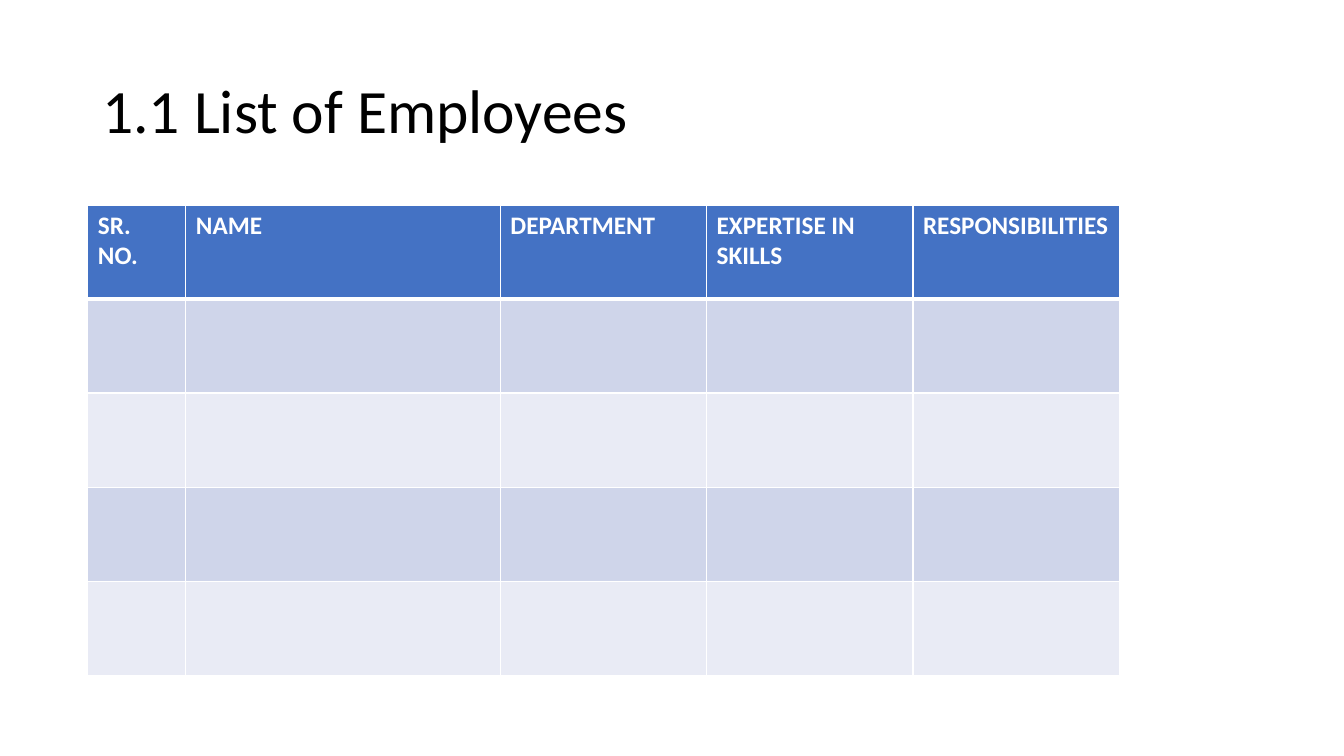
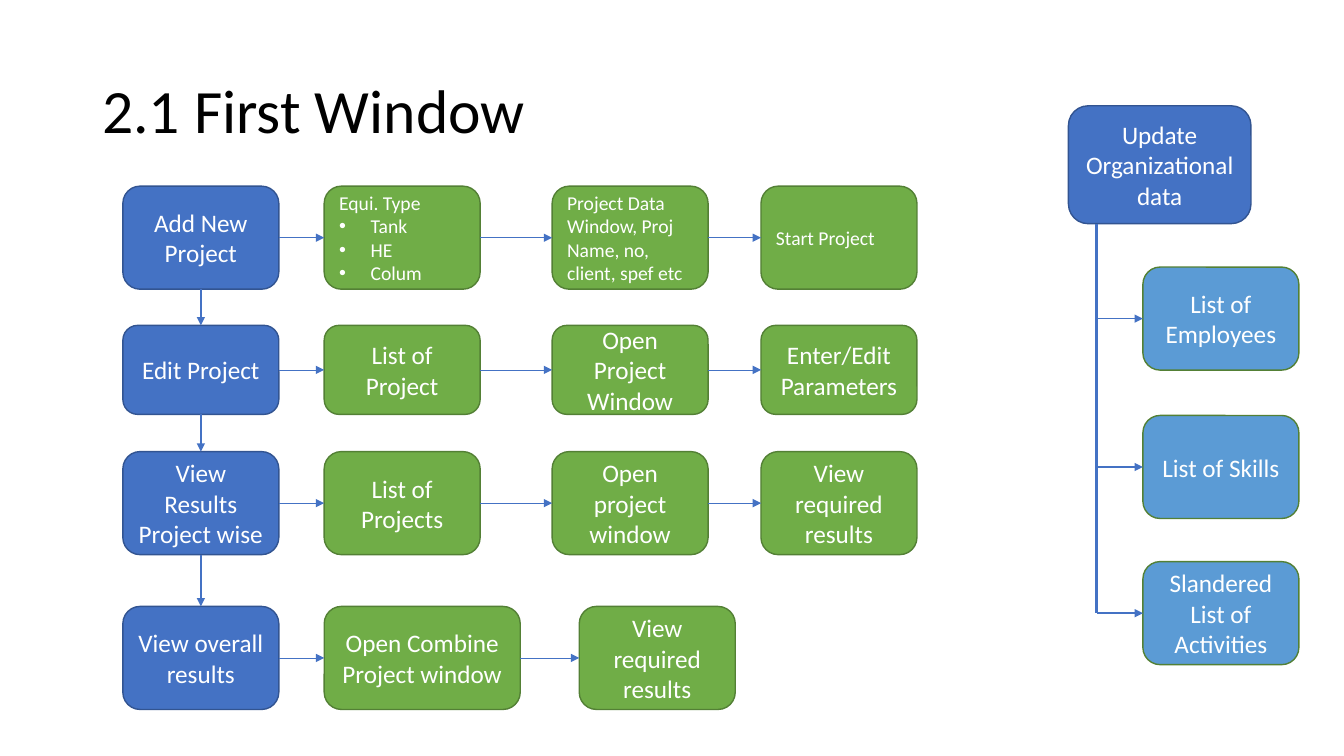
from lxml import etree
from pptx import Presentation
from pptx.dml import color
from pptx.enum import shapes, text
from pptx.oxml import ns
from pptx.util import Pt

# Shared style
FONT = "Calibri"
WHITE, BLACK = "FFFFFF", "000000"
BLUE, BLUE_EDGE = "4472C4", "325491"
GREEN, GREEN_EDGE = "70AD47", "538035"
SKY = "5B9BD5"
BANDS = ("CFD5EA", "E9EBF5")

# Employee table
HEADINGS = ["SR. NO.", "NAME", "DEPARTMENT", "EXPERTISE IN SKILLS", "RESPONSIBILITIES"]
COLUMN_WIDTHS = [70, 224.6, 147.4, 147.4, 147.4]
ROW_HEIGHT, ROW_COUNT = 67.2, 5

# Flow grid
STEP_W, STEP_H = 111.4, 73.6
COLUMNS = [87.8, 231.6, 394.4, 543.6]
WIDE_ROW = [(87.8, STEP_W), (231.6, 140), (413.8, STEP_W)]
REGULAR_ROW = [(left, STEP_W) for left in COLUMNS]
# Each row: top, height, (left, width) of its steps, labels, size of the green labels
FLOW = [
    (133, STEP_H, REGULAR_ROW,
     ["Add New Project", "Equi. Type\nTank\nHE\nColum",
      "Project Data Window, Proj Name, no, client, spef etc", "Start Project"], 14),
    (232.4, 63.6, REGULAR_ROW,
     ["Edit Project", "List of Project", "Open Project Window",
      "Enter/Edit Parameters"], 18),
    (322.6, STEP_H, REGULAR_ROW,
     ["View Results Project wise", "List of Projects", "Open project window",
      "View required results"], 18),
    (433.2, STEP_H, WIDE_ROW,
     ["View overall results", "Open Combine Project window",
      "View required results"], 18),
]

# Organizational data tree
TRUNK_X, LIST_LEFT = 783.4, 816.4
LISTS = [(190.8, "List of Employees"), (296.8, "List of Skills"),
         (401.2, "Slandered List of Activities")]


def rgb(value):
    return color.RGBColor.from_string(value)


def add_xml(parent, tag, **attributes):
    return etree.SubElement(parent, ns.qn(tag), attributes)


def format_text(frame, size, ink, align=None, bold=False):
    for paragraph in frame.paragraphs:
        paragraph.alignment = align
        for run in paragraph.runs:
            run.font.name, run.font.size, run.font.bold = FONT, Pt(size), bold
            run.font.color.rgb = rgb(ink)


def add_titled_slide(deck, heading):
    slide = deck.slides.add_slide(deck.slide_layouts[6])
    title = slide.shapes.add_textbox(Pt(66), Pt(28.8), Pt(828), Pt(104.4)).text_frame
    title.word_wrap = True
    title.vertical_anchor = text.MSO_ANCHOR.MIDDLE
    title.text = heading
    title.paragraphs[0].line_spacing = 0.9
    format_text(title, 44, BLACK)
    return slide


def add_step(slide, left, top, width, height, label, fill, edge, size=18):
    step = slide.shapes.add_shape(shapes.MSO_SHAPE.ROUNDED_RECTANGLE,
                                  Pt(left), Pt(top), Pt(width), Pt(height))
    step.shadow.inherit = False
    step.fill.solid()
    step.fill.fore_color.rgb = rgb(fill)
    step.line.color.rgb = rgb(edge)
    step.line.width = Pt(1)
    frame = step.text_frame
    frame.word_wrap = True
    frame.vertical_anchor = text.MSO_ANCHOR.MIDDLE
    frame.text = label
    align = text.PP_ALIGN.CENTER if size == 18 else text.PP_ALIGN.LEFT
    format_text(frame, size, WHITE, align)
    return step


def add_bullets(paragraphs):
    for paragraph in paragraphs:
        properties = paragraph._p.get_or_add_pPr()
        properties.set("marL", str(Pt(22.5)))
        properties.set("indent", str(-Pt(22.5)))
        add_xml(properties, "a:buFont", typeface="Arial")
        add_xml(properties, "a:buChar", char="•")


def add_line(slide, start, end, weight, arrow=True):
    """Each end is a point (x, y) or a joined side (step, side)."""
    line = slide.shapes.add_connector(shapes.MSO_CONNECTOR.STRAIGHT, 0, 0, 0, 0)
    if isinstance(start[0], (int, float)):
        line.begin_x, line.begin_y = Pt(start[0]), Pt(start[1])
    else:
        line.begin_connect(*start)
    if isinstance(end[0], (int, float)):
        line.end_x, line.end_y = Pt(end[0]), Pt(end[1])
    else:
        line.end_connect(*end)
    line.line.color.rgb = rgb(BLUE)
    line.line.width = Pt(weight)
    properties = line._element.spPr
    if arrow:
        add_xml(properties.find(ns.qn("a:ln")), "a:tailEnd", type="triangle")
    add_xml(properties, "a:effectLst")


def style_cell(cell, fill, top, bottom):
    properties = cell._tc.get_or_add_tcPr()
    for side, weight in (("L", 1), ("R", 1), ("T", top), ("B", bottom)):
        border = add_xml(properties, f"a:ln{side}", w=str(Pt(weight)))
        add_xml(add_xml(border, "a:solidFill"), "a:srgbClr", val=WHITE)
    cell.fill.solid()
    cell.fill.fore_color.rgb = rgb(fill)


def add_employee_table(slide):
    employees = slide.shapes.add_table(
        ROW_COUNT, len(HEADINGS), Pt(62.8), Pt(146.4),
        Pt(sum(COLUMN_WIDTHS)), Pt(ROW_HEIGHT * ROW_COUNT)).table
    for column, width in zip(employees.columns, COLUMN_WIDTHS):
        column.width = Pt(width)
    for index, row in enumerate(employees.rows):
        row.height = Pt(ROW_HEIGHT)
        fill = BANDS[(index - 1) % 2] if index else BLUE
        for cell in row.cells:
            style_cell(cell, fill, 3 if index == 1 else 1, 3 if index == 0 else 1)
    for cell, heading in zip(employees.rows[0].cells, HEADINGS):
        cell.text = heading
        format_text(cell.text_frame, 18, WHITE, bold=True)


def add_flow(slide):
    previous_start = None
    for top, height, places, labels, size in FLOW:
        steps = []
        for (left, width), label in zip(places, labels):
            style = (GREEN, GREEN_EDGE, size) if steps else (BLUE, BLUE_EDGE)
            steps.append(add_step(slide, left, top, width, height, label, *style))
        for step in steps:
            add_bullets(step.text_frame.paragraphs[1:])
        for here, following in zip(steps, steps[1:]):
            add_line(slide, (here, 3), (following, 1), 0.5)
        if previous_start is not None:
            add_line(slide, (previous_start, 2), (steps[0], 0), 1.5)
        previous_start = steps[0]


def add_data_tree(slide):
    top, height = 75.6, 84.2
    add_step(slide, 763.2, top, 130.4, height, "Update\nOrganizational data",
             BLUE, BLUE_EDGE)
    trunk_end = LISTS[-1][0] + STEP_H / 2
    add_line(slide, (TRUNK_X, top + height), (TRUNK_X, trunk_end), 2.25, arrow=False)
    for list_top, label in LISTS:
        entry = add_step(slide, LIST_LEFT, list_top, STEP_W, STEP_H, label,
                         SKY, GREEN_EDGE)
        add_line(slide, (TRUNK_X, list_top + STEP_H / 2), (entry, 1), 1)


def main():
    deck = Presentation()
    deck.slide_width, deck.slide_height = Pt(960), Pt(540)
    add_employee_table(add_titled_slide(deck, "1.1 List of Employees"))
    first_window = add_titled_slide(deck, "2.1 First Window")
    add_flow(first_window)
    add_data_tree(first_window)
    deck.save("out.pptx")


if __name__ == "__main__":
    main()
